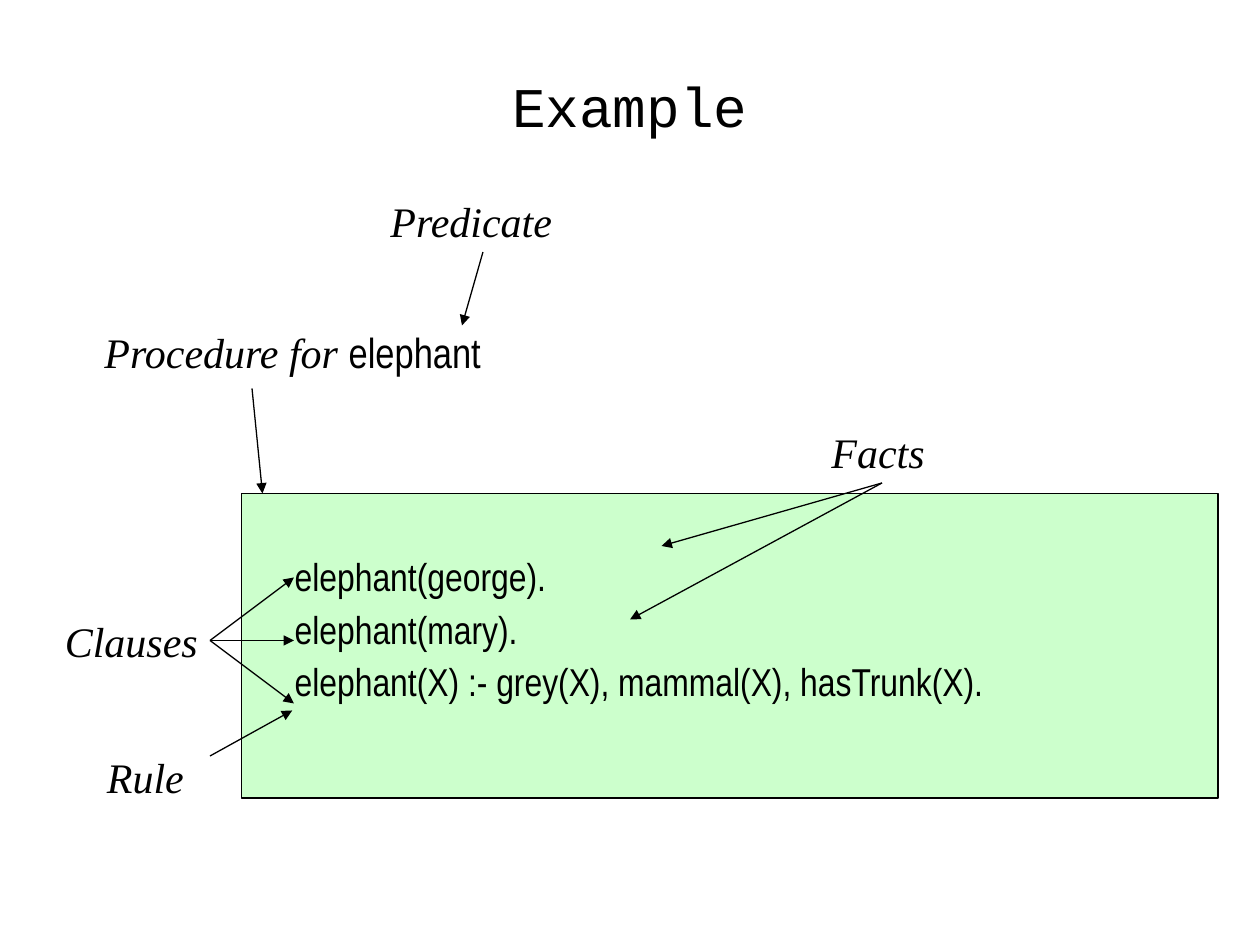
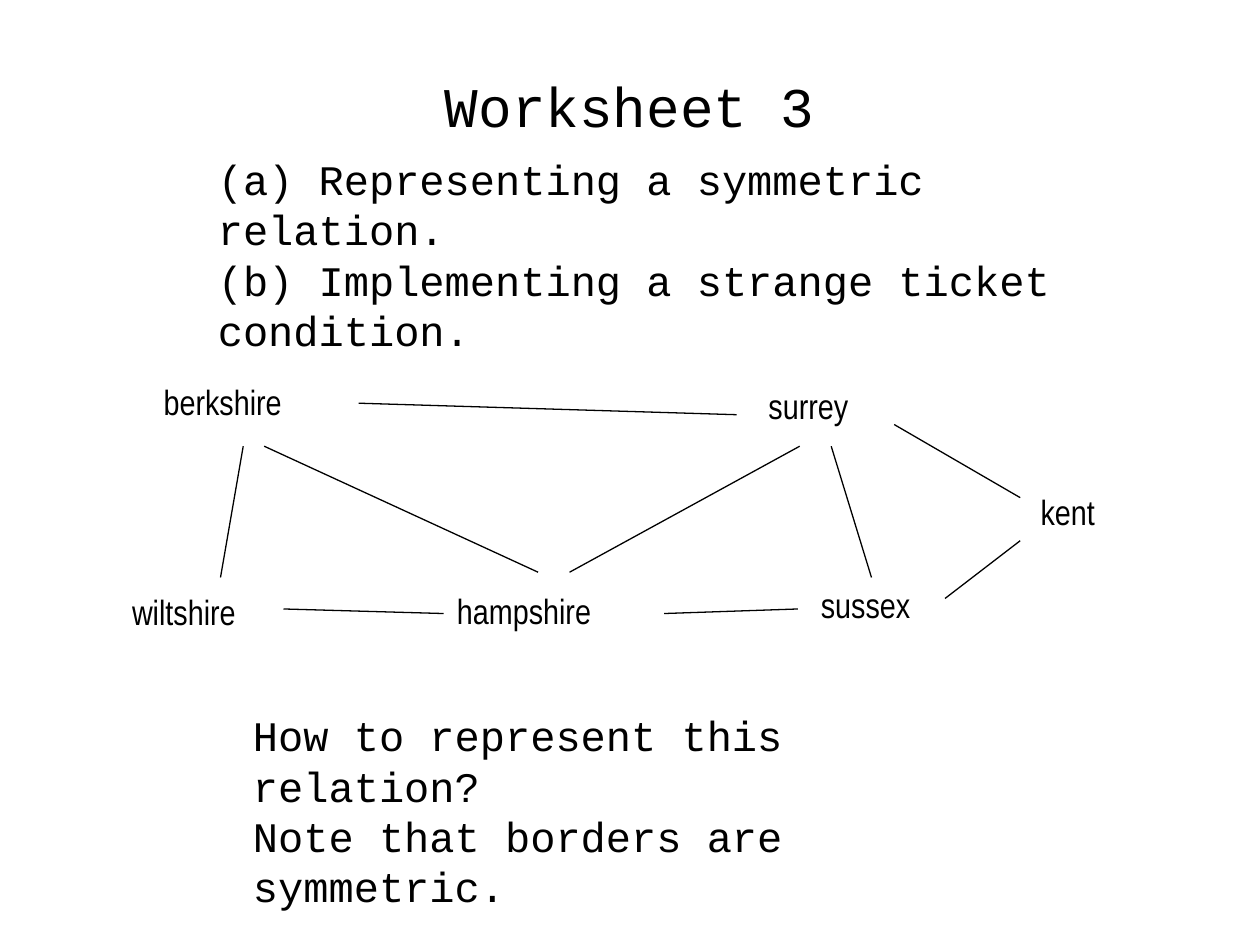
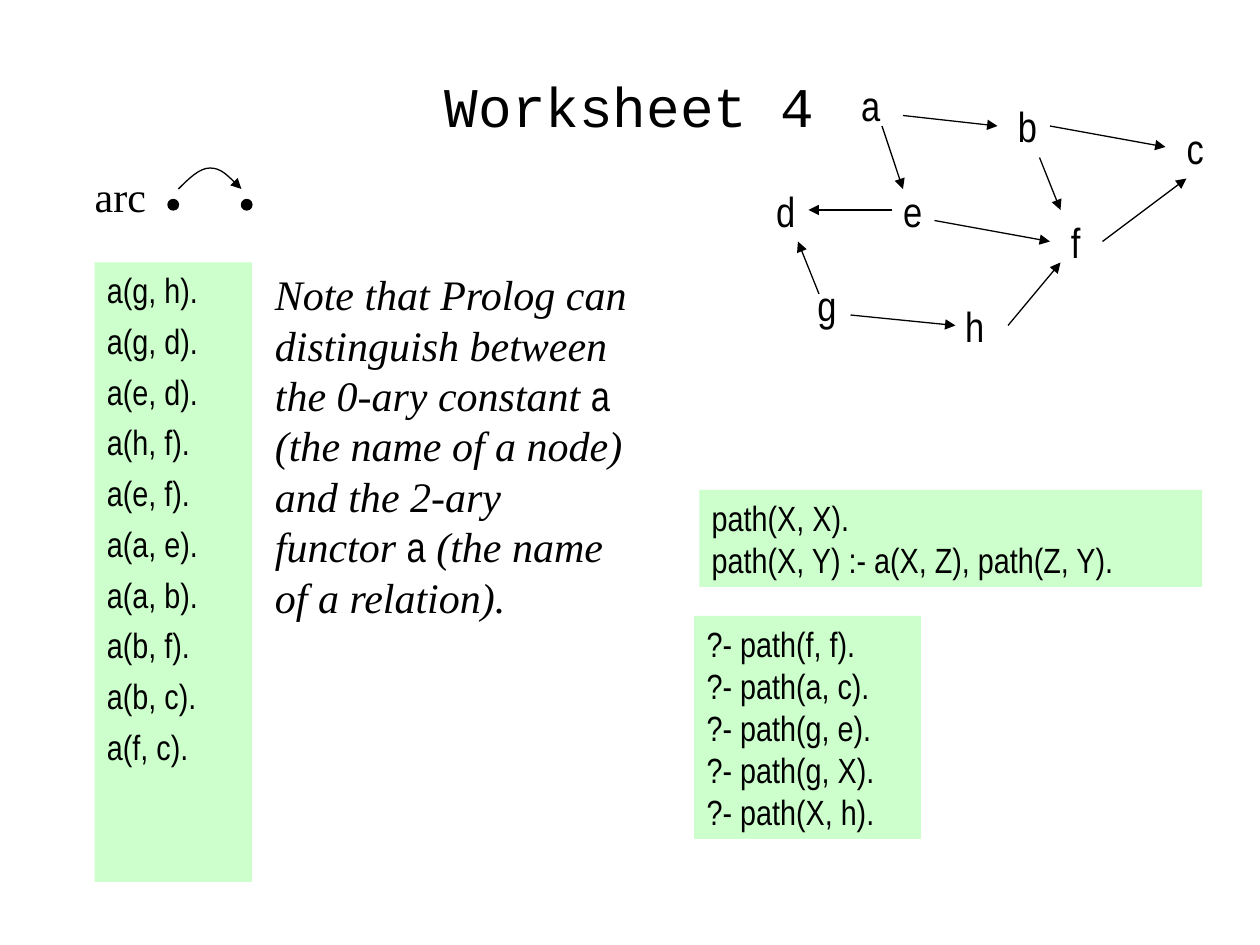
from itertools import cycle

from lxml import etree
from pptx import Presentation
from pptx.dml.color import RGBColor
from pptx.enum import shapes, text
from pptx.oxml import ns
from pptx.util import Pt

BLACK, GREEN = "000000", "CCFFCC"
CODE, PROSE, MONO = "Arial Narrow", "Times New Roman", "Courier New"
LINE_WIDTH = 0.75


def color(value):
    """Turn a hex string into a colour."""
    return RGBColor.from_string(value)


def style_font(font, name, size, italic=False):
    """Set the face, size and slant of black text."""
    font.name, font.size, font.italic = name, Pt(size), italic
    font.color.rgb = color(BLACK)


def style_line(line):
    """Make a line thin and black."""
    line.color.rgb = color(BLACK)
    line.width = Pt(LINE_WIDTH)


def add_arrowhead(shape):
    """Put a triangle at the end of a line."""
    outline = shape._element.spPr.find(ns.qn("a:ln"))
    etree.SubElement(outline, ns.qn("a:tailEnd"), type="triangle")


def add_text(slide, box, lines, font, size, italic=False, gap=0, spacing=None, fill=None):
    """Add a wrapped text box with one paragraph per line."""
    shape = slide.shapes.add_textbox(*map(Pt, box))
    if fill:
        shape.fill.solid()
        shape.fill.fore_color.rgb = color(fill)
    frame = shape.text_frame
    frame.word_wrap = True
    frame.text = "\n".join(lines)
    for index, paragraph in enumerate(frame.paragraphs):
        paragraph.line_spacing = spacing
        paragraph.space_before = Pt(gap if index else 0)
        for run in paragraph.runs:
            style_font(run.font, font, size, italic)
    return shape


def add_mixed_text(slide, box, pieces):
    """Add one paragraph whose pieces alternate between prose and code."""
    shape = add_text(slide, box, [], PROSE, 24)
    paragraph = shape.text_frame.paragraphs[0]
    for piece, font in zip(pieces, cycle((PROSE, CODE))):
        run = paragraph.add_run()
        run.text = piece
        style_font(run.font, font, 24, font == PROSE)


def add_lines(slide, left, top, segments, arrow=False):
    """Draw straight lines given relative to a corner."""
    for x1, y1, x2, y2 in segments:
        ends = (left + x1, top + y1, left + x2, top + y2)
        connector = slide.shapes.add_connector(shapes.MSO_CONNECTOR.STRAIGHT, *map(Pt, ends))
        style_line(connector.line)
        if arrow:
            add_arrowhead(connector)
        etree.SubElement(connector._element.spPr, ns.qn("a:effectLst"))


def add_shape(slide, kind, box, fill):
    """Add a filled preset shape with a thin black outline."""
    shape = slide.shapes.add_shape(kind, *map(Pt, box))
    shape.shadow.inherit = False
    shape.fill.solid()
    shape.fill.fore_color.rgb = color(fill)
    style_line(shape.line)


def add_titled_slide(presentation, title):
    """Add a blank slide with the shared title style."""
    slide = presentation.slides.add_slide(presentation.slide_layouts[6])
    shape = add_text(slide, (54, 24, 612, 72), [title], MONO, 32)
    shape.text_frame.vertical_anchor = text.MSO_ANCHOR.MIDDLE
    shape.text_frame.paragraphs[0].alignment = text.PP_ALIGN.CENTER
    return slide


def add_annotated_program(slide, left, top, width, height):
    """Draw the program box with the terms that point into it."""
    add_shape(slide, shapes.MSO_SHAPE.RECTANGLE, (left, top, width, height), GREEN)
    clauses = ["elephant(george).", "elephant(mary).",
               "elephant(X) :- grey(X), mammal(X), hasTrunk(X)."]
    add_text(slide, (left + 23.3, top + 33.4, 538.6, 130), clauses, CODE, 22.2, gap=6, spacing=0.9)
    add_mixed_text(slide, (left - 85.4, top - 99, 255.6, 36), ("Procedure for ", "elephant"))
    terms = [("Predicate", 78, -174, 109), ("Clauses", -108, 66, 92),
             ("Rule", -84, 144, 60), ("Facts", 330, -42, 70)]
    for term, x, y, term_width in terms:
        add_text(slide, (left + x, top + y, term_width, 36), [term], PROSE, 24, italic=True)
    clause_arrows = [(-18, 84, 30, y) for y in (48, 84, 120)]
    fact_arrows = [(366, -6, 240, 30), (366, -6, 222, 72)]
    other_arrows = [(6, -60, 12, 0), (138, -138, 126, -96), (-18, 150, 29, 124)]
    add_lines(slide, left, top, clause_arrows + fact_arrows + other_arrows, arrow=True)


def add_county_map(slide, left, top):
    """Draw the counties and the borders they share."""
    counties = [("berkshire", 18.4, 2, 104), ("wiltshire", 0.4, 122, 94),
                ("surrey", 364, 4, 98), ("hampshire", 186, 121.4, 116),
                ("sussex", 394, 118, 90), ("kent", 519.5, 64.5, 57)]
    for county, x, y, width in counties:
        add_text(slide, (left + x, top + y, width, 31.5), [county], CODE, 20)
    borders = [(137, 18.4, 353, 25), (71, 43, 58, 118), (83, 43, 239.5, 115),
               (94, 136, 185.5, 138.6), (311.5, 138.6, 388, 136),
               (257.5, 115, 389, 43), (407, 43, 430, 118),
               (472, 130, 515, 97), (443, 30.6, 515, 72.4)]
    add_lines(slide, left, top, borders)


def add_arc_legend(slide, left, top):
    """Show an arc as a curved arrow between two dots."""
    add_text(slide, (left, top, 46, 36), ["arc"], PROSE, 24)
    for x in (49, 91):
        add_shape(slide, shapes.MSO_SHAPE.OVAL, (left + x, top + 20, 6, 6), BLACK)
    heights = (14, 8, 2, 2, 2, 8, 14)
    points = [(Pt(left + 55 + 6 * step), Pt(top + y)) for step, y in enumerate(heights)]
    builder = slide.shapes.build_freeform(*points[0])
    builder.add_line_segments(points[1:], close=False)
    curve = builder.convert_to_shape()
    curve.shadow.inherit = False
    curve.fill.background()
    style_line(curve.line)
    add_arrowhead(curve)
    outline = curve._element.find(".//" + ns.qn("a:path"))
    segments = outline.findall(ns.qn("a:lnTo"))
    for start in (0, 3):
        bezier = etree.SubElement(outline, ns.qn("a:cubicBezTo"))
        for segment in segments[start:start + 3]:
            bezier.append(segment[0])
            outline.remove(segment)


def add_graph(slide, left, top):
    """Draw the directed graph."""
    nodes = {"a": (49, 0), "b": (138.6, 12), "c": (235, 24.4), "d": (0.4, 60.5),
             "e": (73, 60.5), "f": (168.8, 78), "g": (24, 114.4), "h": (108.4, 126)}
    for node, (x, y) in nodes.items():
        add_text(slide, (left + x, top + y, 29, 36), [node], CODE, 24)
    arcs = [(158, 48, 170, 78), (68, 30, 80, 66), (74, 78, 26, 78), (32, 126, 20, 96),
            (50, 138, 110, 144), (140, 144, 170, 108), (98, 84, 164, 96),
            (80, 24, 134, 30), (164, 30, 230, 42), (194, 96, 242, 60)]
    add_lines(slide, left, top, arcs, arrow=True)


def add_path_program(slide, left, top):
    """Place the facts, the note, the rules and the queries."""
    arcs = ("gh", "gd", "ed", "hf", "ef", "ae", "ab", "bf", "bc", "fc")
    facts = [f"a({start}, {end})." for start, end in arcs]
    add_text(slide, (left, top, 90, 354), facts, CODE, 20, gap=5, fill=GREEN)
    add_mixed_text(slide, (left + 96, top, 216, 237.6),
                   ("Note that Prolog can distinguish between the 0-ary constant ", "a",
                    " (the name of a node) and the 2-ary functor ", "a",
                    " (the name of a relation)."))
    rules = ["path(X, X).", "path(X, Y) :- a(X, Z), path(Z, Y)."]
    add_text(slide, (left + 345.6, top + 130, 287.3, 55.4), rules, CODE, 20, fill=GREEN)
    queries = [f"?- path({goal})." for goal in ("f, f", "a, c", "g, e", "g, X", "X, h")]
    add_text(slide, (left + 342.7, top + 202, 129.6, 127.4), queries, CODE, 20, fill=GREEN)


def main():
    """Build the three slides and save them."""
    presentation = Presentation()
    presentation.slide_width, presentation.slide_height = Pt(720), Pt(540)

    slide = add_titled_slide(presentation, "Example")
    add_annotated_program(slide, 138, 282, 558, 174)

    slide = add_titled_slide(presentation, "Worksheet 3")
    add_county_map(slide, 68, 212)
    add_text(slide, (137.5, 402, 390, 65),
             ["How to represent this relation?", "Note that borders are symmetric."], MONO, 24)
    add_text(slide, (117.4, 84, 509, 65),
             ["(a) Representing a symmetric relation.",
              "(b) Implementing a strange ticket condition."], MONO, 24)

    slide = add_titled_slide(presentation, "Worksheet 4")
    add_arc_legend(slide, 47, 94)
    add_graph(slide, 436, 42)
    add_path_program(slide, 54, 150)

    presentation.save("out.pptx")


if __name__ == "__main__":
    main()
